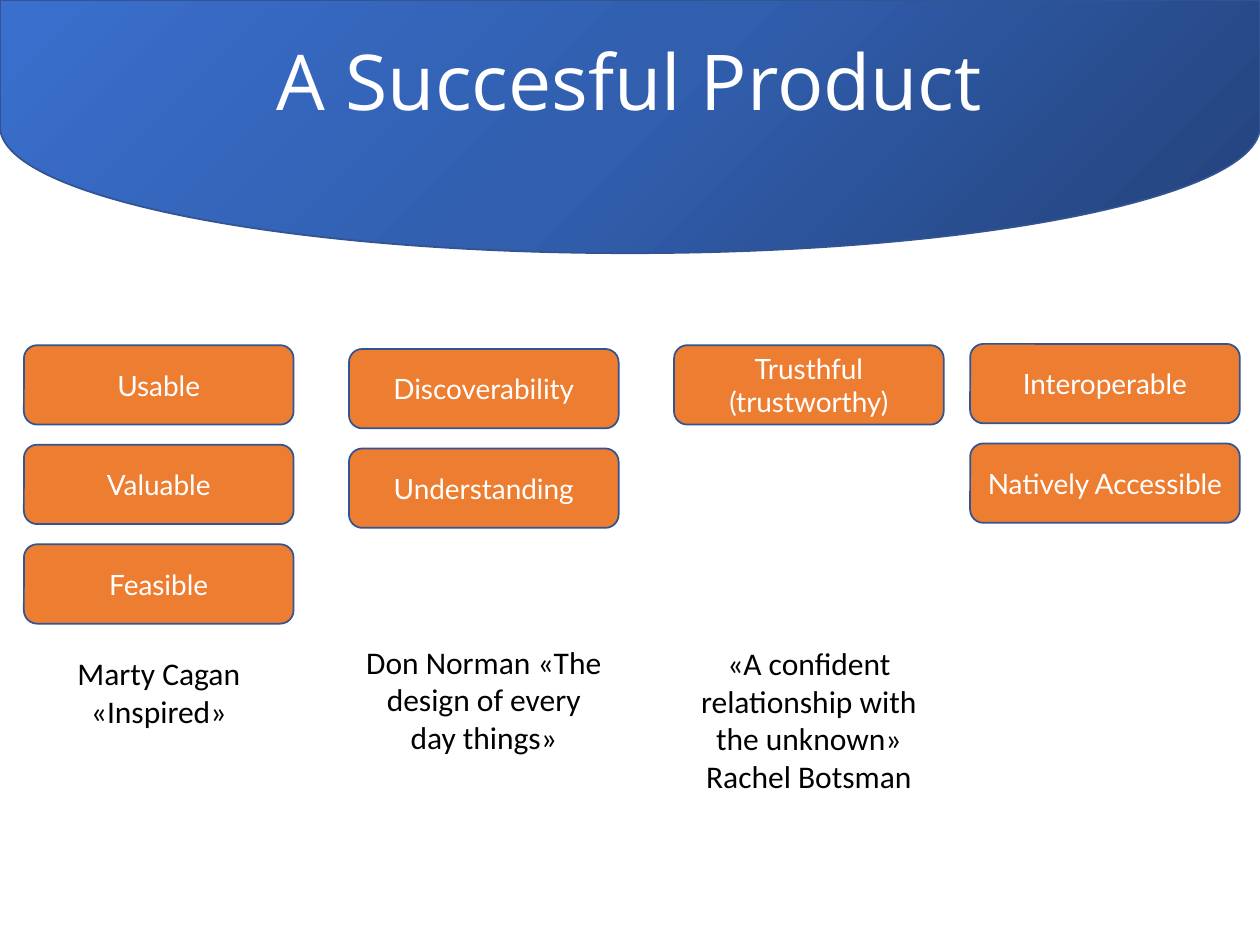
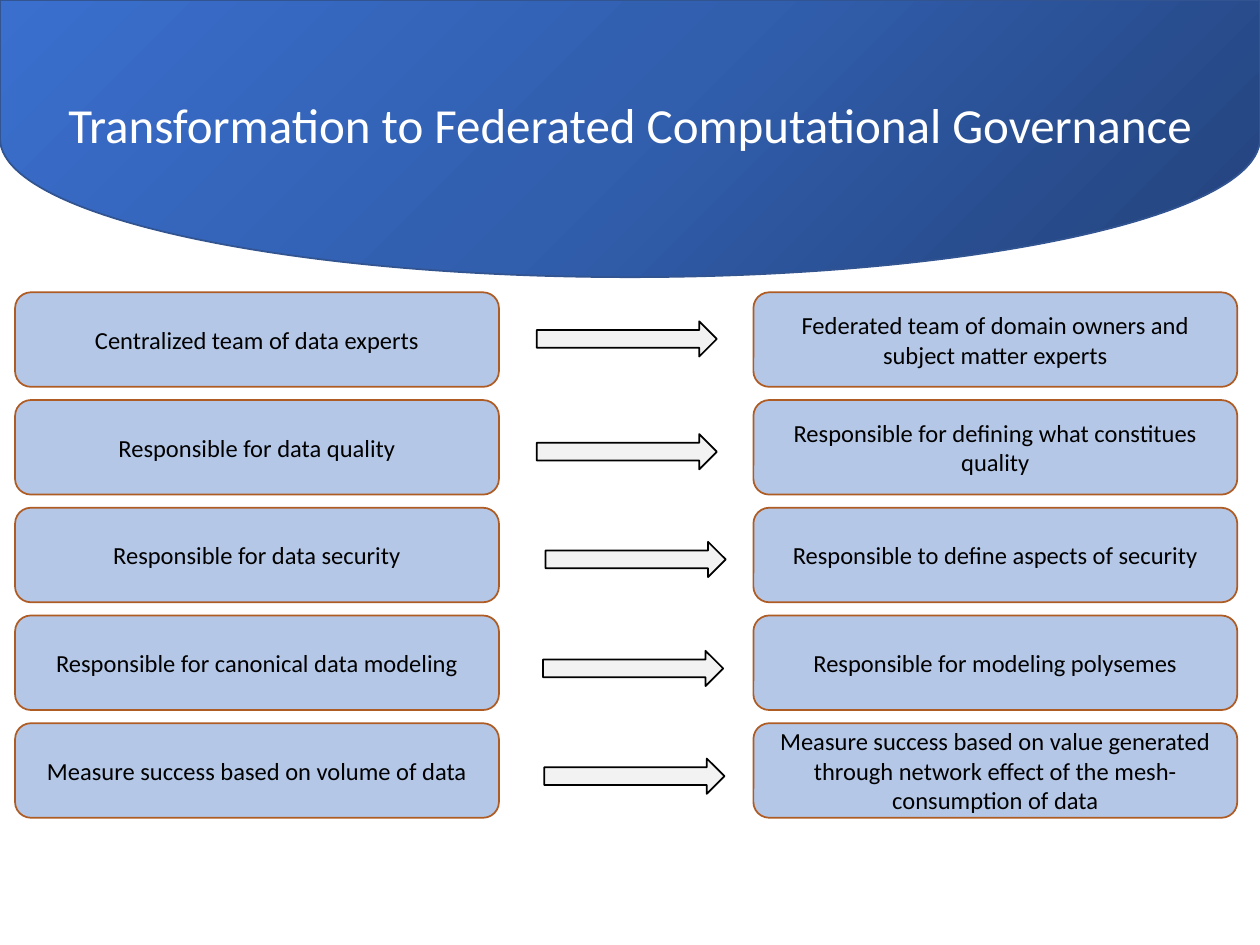
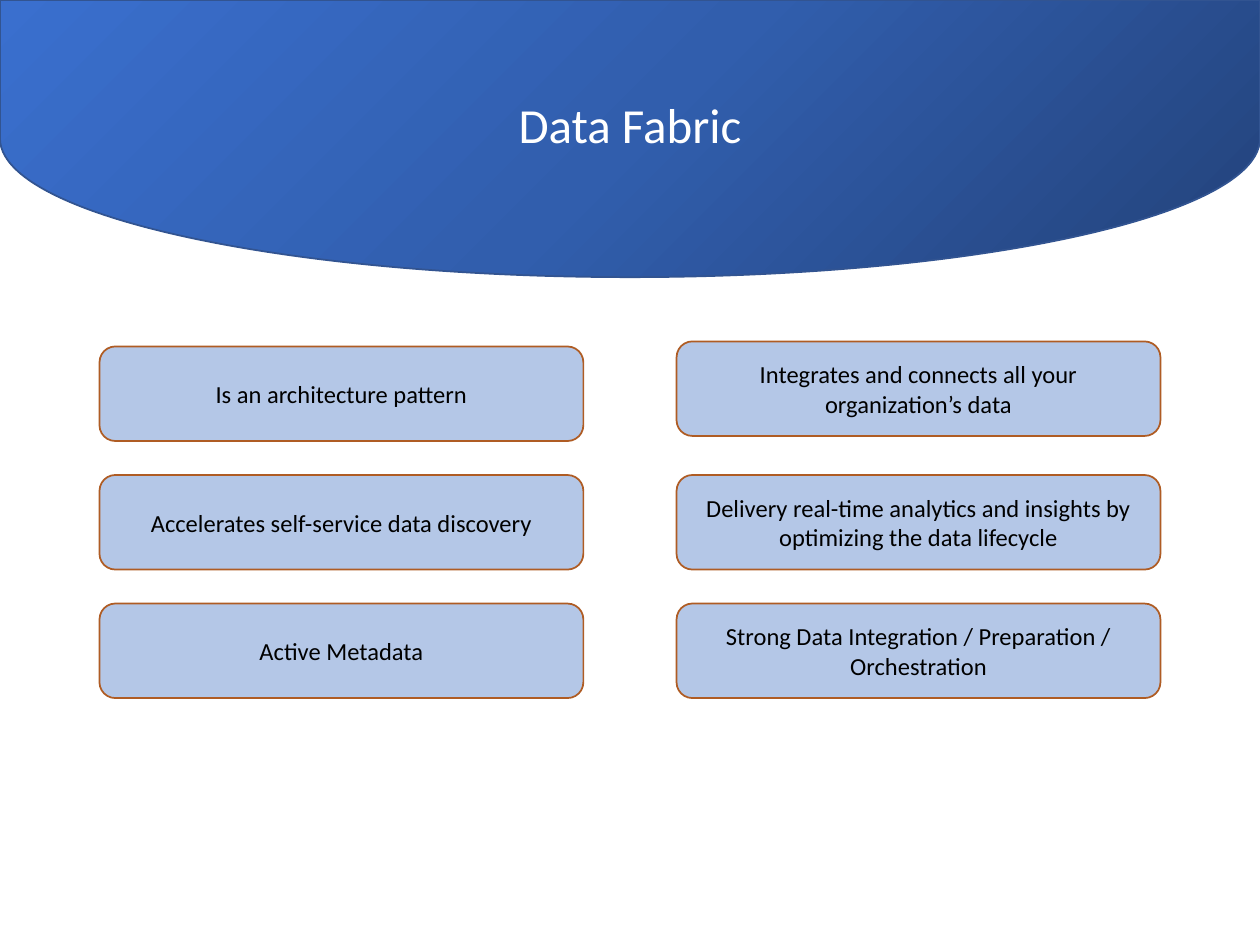
from copy import deepcopy
from dataclasses import dataclass

from pptx import Presentation
from pptx.dml.color import RGBColor
from pptx.enum.shapes import MSO_SHAPE as Preset
from pptx.enum.text import MSO_ANCHOR as Anchor, MSO_AUTO_SIZE as AutoSize, PP_ALIGN as Align
from pptx.oxml.ns import qn
from pptx.util import Inches, Pt

# Shared style
WIDTH, HEIGHT = 10, 7.5
WHITE = RGBColor(0xFF, 0xFF, 0xFF)
BLACK = RGBColor(0x00, 0x00, 0x00)
ORANGE = RGBColor(0xED, 0x7D, 0x31)
RUST = RGBColor(0xAF, 0x5C, 0x24)
PALE_BLUE = RGBColor(0xB4, 0xC7, 0xE7)
NAVY = RGBColor(0x32, 0x54, 0x91)
PALE_GREY = RGBColor(0xF2, 0xF2, 0xF2)
BAND_STOPS = (
    (0, RGBColor(0x23, 0x42, 0x7A)),
    (0.5, RGBColor(0x31, 0x5E, 0xAD)),
    (1, RGBColor(0x3A, 0x6F, 0xCE)),
)
BAND_ANGLE = 225


@dataclass(frozen=True)
class Area:
    left: float
    top: float
    width: float
    height: float

    def emu(self) -> tuple:
        return tuple(Inches(n) for n in (self.left, self.top, self.width, self.height))


@dataclass(frozen=True)
class Grid:
    left: float
    top: float
    column_step: float
    row_step: float
    width: float
    height: float

    def cell(self, column: int, row: int, dx: float = 0, dy: float = 0) -> Area:
        return Area(self.left + column * self.column_step + dx,
                    self.top + row * self.row_step + dy, self.width, self.height)


@dataclass(frozen=True)
class TextStyle:
    font: str
    size: int
    color: RGBColor


@dataclass(frozen=True)
class CardStyle:
    fill: RGBColor
    line: RGBColor
    text: TextStyle


@dataclass(frozen=True)
class Header:
    band_height: float
    title_top: float
    title_height: float
    text: TextStyle


@dataclass(frozen=True)
class Pillar:
    qualities: tuple
    dx: float = 0
    dy: float = 0
    source: str = ""
    source_top: float = 0
    source_height: float = 0


@dataclass(frozen=True)
class Shift:
    before: str
    after: str
    arrow_dx: float
    arrow_dy: float


QUALITY_CARD = CardStyle(ORANGE, NAVY, TextStyle("Lato", 16, WHITE))
TOPIC_CARD = CardStyle(PALE_BLUE, RUST, TextStyle("Calibri", 14, BLACK))
SOURCE_TEXT = TextStyle("Calibri", 18, BLACK)
LARGE_HEADER = Header(2.01, 0.22, 0.84, TextStyle("Open Sans", 44, WHITE))
PLAIN_HEADER = Header(2.2, 0.7, 0.57, TextStyle("Calibri", 28, WHITE))

# Slide contents
PILLAR_GRID = Grid(0.19, 2.74, 2.58, 0.79, 2.14, 0.63)
PILLARS = (
    Pillar(("Usable", "Valuable", "Feasible"),
           source="Marty Cagan «Inspired»", source_top=5.14, source_height=0.71),
    Pillar(("Discoverability", "Understanding"), dy=0.03,
           source="Don Norman «The design of every day things»",
           source_top=5.05, source_height=1.01),
    Pillar(("Trusthful (trustworthy)",),
           source="«A confident relationship with the unknown» Rachel Botsman",
           source_top=5.06, source_height=1.31),
    Pillar(("Interoperable", "Natively Accessible"), dx=-0.23, dy=-0.01),
)

SHIFT_GRID = Grid(0.12, 2.32, 5.86, 0.855, 3.84, 0.75)
ARROW_GRID = Grid(4.26, 2.55, 0, 0.855, 1.43, 0.28)
SHIFTS = (
    Shift("Centralized team of data experts",
          "Federated team of domain owners and subject matter experts", 0, 0),
    Shift("Responsible for data quality",
          "Responsible for defining what constitues quality", 0, 0.04),
    Shift("Responsible for data security",
          "Responsible to define aspects of security", 0.07, 0.04),
    Shift("Responsible for canonical data modeling",
          "Responsible for modeling polysemes", 0.05, 0.05),
    Shift("Measure success based on volume of data",
          "Measure success based on value generated through network effect "
          "of the mesh-consumption of data", 0.06, 0.05),
)

FABRIC_GRID = Grid(0.79, 2.75, 4.58, 1.02, 3.84, 0.75)
FABRIC_ROWS = (
    ("Is an architecture pattern", "Integrates and connects all your organization’s data"),
    ("Accelerates self-service data discovery",
     "Delivery real-time analytics and insights by optimizing the data lifecycle"),
    ("Active Metadata", "Strong Data Integration / Preparation / Orchestration"),
)


# Drawing functions
def write(shape, text: str, style: TextStyle) -> None:
    frame = shape.text_frame
    frame.word_wrap = True
    para = frame.paragraphs[0]
    para.text = text
    para.alignment = Align.CENTER
    para.font.name = style.font
    para.font.size = Pt(style.size)
    para.font.color.rgb = style.color


def add_text(page, area: Area, text: str, style: TextStyle) -> None:
    box = page.shapes.add_textbox(*area.emu())
    write(box, text, style)
    box.text_frame.auto_size = AutoSize.SHAPE_TO_FIT_TEXT


def add_outlined(page, preset, area: Area, line: RGBColor):
    shape = page.shapes.add_shape(preset, *area.emu())
    shape.shadow.inherit = False
    shape.line.color.rgb = line
    shape.line.width = Pt(1)
    return shape


def add_card(page, area: Area, text: str, style: CardStyle) -> None:
    card = add_outlined(page, Preset.ROUNDED_RECTANGLE, area, style.line)
    card.fill.solid()
    card.fill.fore_color.rgb = style.fill
    card.text_frame.vertical_anchor = Anchor.MIDDLE
    write(card, text, style.text)


def add_arrow(page, area: Area) -> None:
    arrow = add_outlined(page, Preset.RIGHT_ARROW, area, BLACK)
    arrow.fill.solid()
    arrow.fill.fore_color.rgb = PALE_GREY


def add_header(page, title: str, header: Header) -> None:
    # The band is a tall delay shape, turned about its centre to span the slide
    offset = (WIDTH - header.band_height) / 2
    band = add_outlined(page, Preset.FLOWCHART_DELAY,
                        Area(offset, -offset, header.band_height, WIDTH), NAVY)
    band.rotation = 90
    band.fill.gradient()
    band.fill.gradient_angle = BAND_ANGLE
    stop_list = band._element.spPr.find(".//" + qn("a:gsLst"))
    stop_list.insert(1, deepcopy(stop_list[0]))
    for stop, (position, color) in zip(band.fill.gradient_stops, BAND_STOPS):
        stop.position = position
        stop.color.rgb = color
    add_text(page, Area(0, header.title_top, WIDTH, header.title_height), title, header.text)


# Slides
def draw_product(page) -> None:
    add_header(page, "A Succesful Product", LARGE_HEADER)
    for column, pillar in enumerate(PILLARS):
        for row, quality in enumerate(pillar.qualities):
            area = PILLAR_GRID.cell(column, row, pillar.dx, pillar.dy)
            add_card(page, area, quality, QUALITY_CARD)
        if pillar.source:
            left = PILLAR_GRID.cell(column, 0).left
            area = Area(left, pillar.source_top, PILLAR_GRID.width, pillar.source_height)
            add_text(page, area, pillar.source, SOURCE_TEXT)


def draw_governance(page) -> None:
    add_header(page, "Transformation to Federated Computational Governance", PLAIN_HEADER)
    for row, shift in enumerate(SHIFTS):
        add_card(page, SHIFT_GRID.cell(0, row), shift.before, TOPIC_CARD)
        add_arrow(page, ARROW_GRID.cell(0, row, shift.arrow_dx, shift.arrow_dy))
        add_card(page, SHIFT_GRID.cell(1, row), shift.after, TOPIC_CARD)


def draw_fabric(page) -> None:
    add_header(page, "Data Fabric", PLAIN_HEADER)
    for row, topics in enumerate(FABRIC_ROWS):
        for column, topic in enumerate(topics):
            dy = -0.04 if (column, row) == (1, 0) else 0
            add_card(page, FABRIC_GRID.cell(column, row, dy=dy), topic, TOPIC_CARD)


def main() -> None:
    deck = Presentation()
    deck.slide_width, deck.slide_height = Inches(WIDTH), Inches(HEIGHT)
    blank = deck.slide_layouts[6]
    for draw in (draw_product, draw_governance, draw_fabric):
        draw(deck.slides.add_slide(blank))
    deck.save("out.pptx")


if __name__ == "__main__":
    main()
